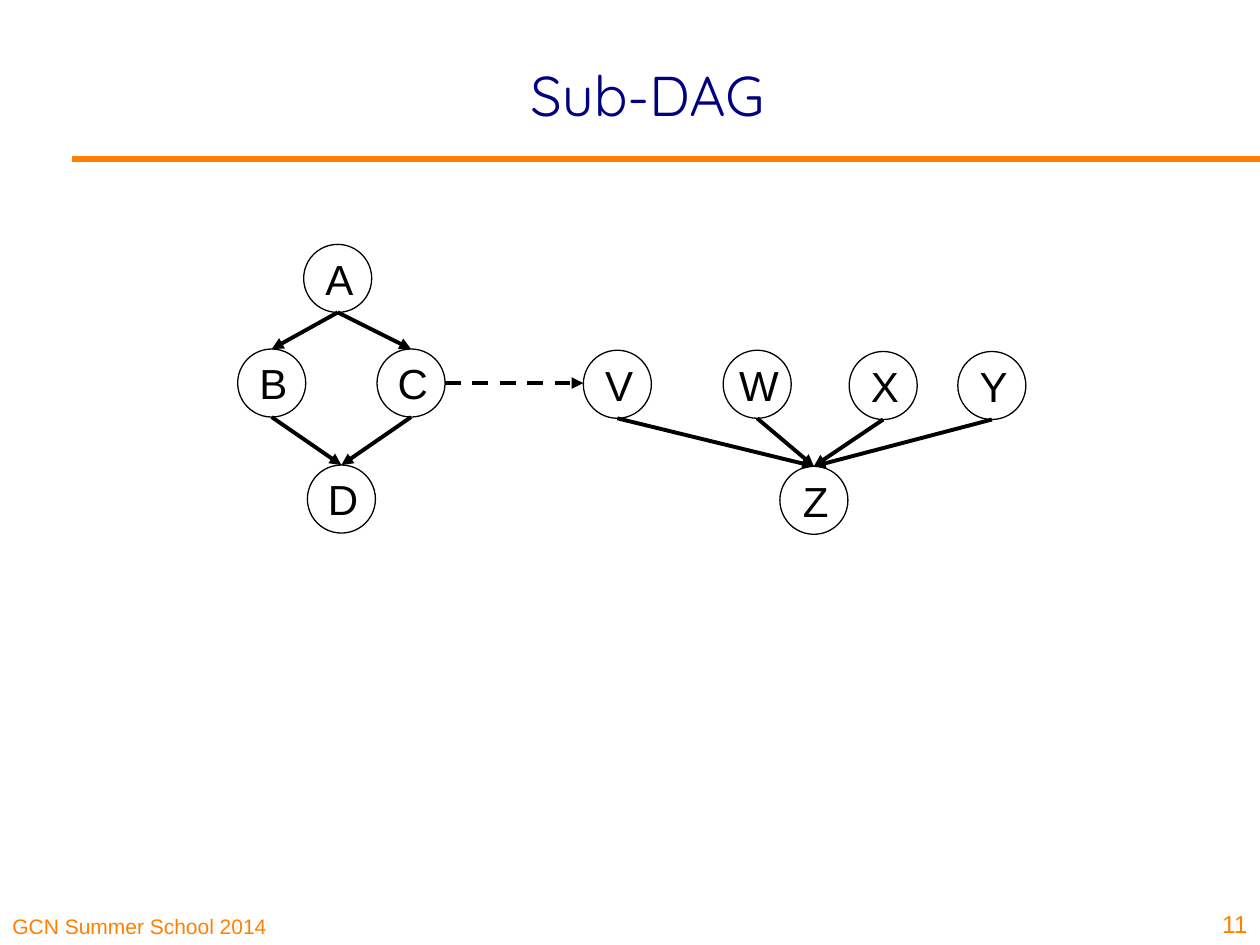
from lxml.etree import SubElement
from pptx import Presentation
from pptx.dml.color import RGBColor
from pptx.enum.dml import MSO_LINE
from pptx.enum.shapes import MSO_CONNECTOR, MSO_SHAPE
from pptx.enum.text import MSO_ANCHOR as Anchor, PP_ALIGN as Align
from pptx.oxml.ns import qn
from pptx.util import Pt

ORANGE = RGBColor(0xFF, 0x80, 0x00)
NAVY = RGBColor(0x00, 0x00, 0x80)
BLACK = RGBColor(0x00, 0x00, 0x00)

TITLE = "Sub-DAG"
FOOTERS = [
    ("GCN Summer School 2014", (0, 509.8, 178.6, 30.2), 12, Align.LEFT),
    ("11", (686.9, 504, 33.1, 36), 14, Align.RIGHT),
]
DIAMETER = 38.9
RADIUS = DIAMETER / 2
NODE_CENTERS = {
    "A": (193, 159.1),
    "B": (155.3, 218.9),
    "C": (234.9, 218.9),
    "D": (195.1, 285.2),
    "V": (352.8, 219.6),
    "W": (432.7, 219.6),
    "X": (504.7, 220.3),
    "Y": (566.8, 220.3),
    "Z": (465.1, 285.9),
}
EDGES = ["AB", "AC", "BD", "CD", "VZ", "WZ", "XZ", "YZ"]
SUB_DAG_EDGE = "CV"


def format_text(text_frame, text, font_name, size, color, align, anchor):
    text_frame.text = text
    text_frame.vertical_anchor = anchor
    paragraph = text_frame.paragraphs[0]
    paragraph.alignment = align
    font = paragraph.runs[0].font
    font.name, font.size, font.color.rgb = font_name, Pt(size), color


def add_line(slide, start, end, color, width):
    line = slide.shapes.add_connector(
        MSO_CONNECTOR.STRAIGHT, *(Pt(value) for value in (*start, *end)))
    line.line.color.rgb = color
    line.line.width = Pt(width)
    SubElement(line._element.spPr, qn("a:effectLst"))
    return line


def add_arrow(slide, start, end, dash=None):
    arrow = add_line(slide, start, end, BLACK, 2.25)
    if dash:
        arrow.line.dash_style = dash
    SubElement(arrow.line._get_or_add_ln(), qn("a:tailEnd"), type="triangle")


def add_node(slide, name, center_x, center_y):
    node = slide.shapes.add_shape(
        MSO_SHAPE.OVAL, Pt(center_x - RADIUS), Pt(center_y - RADIUS),
        Pt(DIAMETER), Pt(DIAMETER))
    node.shadow.inherit = False
    node.fill.background()
    node.line.color.rgb = BLACK
    node.line.width = Pt(0.75)
    text_frame = node.text_frame
    text_frame.word_wrap = False
    text_frame.margin_left = Pt(2)
    text_frame.margin_right = text_frame.margin_top = text_frame.margin_bottom = 0
    format_text(text_frame, name, "Arial", 24, BLACK, Align.CENTER, Anchor.MIDDLE)


def main():
    presentation = Presentation()
    presentation.slide_width, presentation.slide_height = Pt(720), Pt(540)
    slide = presentation.slides.add_slide(presentation.slide_layouts[5])

    title = slide.shapes.title
    title.left, title.top, title.width, title.height = Pt(96.5), Pt(9), Pt(547), Pt(90)
    format_text(title.text_frame, TITLE, "Quicksand", 32, NAVY,
                Align.CENTER, Anchor.MIDDLE)
    add_line(slide, (41, 90.9), (720, 90.9), ORANGE, 3)

    for text, box, size, align in FOOTERS:
        footer = slide.shapes.add_textbox(*(Pt(value) for value in box))
        footer.text_frame.word_wrap = True
        format_text(footer.text_frame, text, "Arial", size, ORANGE, align, Anchor.BOTTOM)

    for name, center in NODE_CENTERS.items():
        add_node(slide, name, *center)

    for parent, child in EDGES:
        parent_x, parent_y = NODE_CENTERS[parent]
        child_x, child_y = NODE_CENTERS[child]
        add_arrow(slide, (parent_x, parent_y + RADIUS), (child_x, child_y - RADIUS))

    (parent_x, row_y), (child_x, _) = (NODE_CENTERS[name] for name in SUB_DAG_EDGE)
    add_arrow(slide, (parent_x + RADIUS, row_y), (child_x - RADIUS, row_y), MSO_LINE.DASH)

    presentation.save("out.pptx")


if __name__ == "__main__":
    main()
